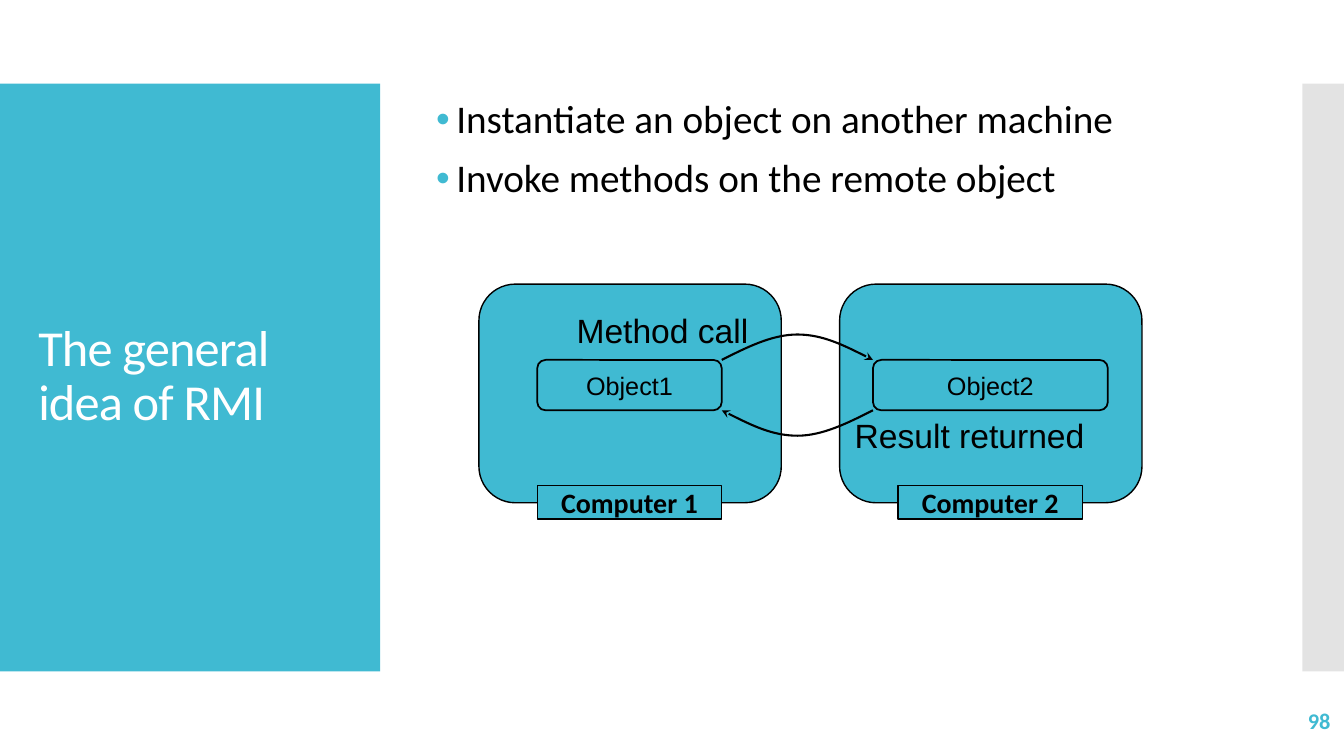
from lxml import etree
from pptx import Presentation
from pptx.dml.color import RGBColor
from pptx.enum.shapes import MSO_SHAPE
from pptx.enum.text import MSO_ANCHOR, MSO_AUTO_SIZE, PP_ALIGN
from pptx.oxml.ns import qn
from pptx.util import Cm, Pt

RECT, ROUND = MSO_SHAPE.RECTANGLE, MSO_SHAPE.ROUNDED_RECTANGLE
MIDDLE, TOP = MSO_ANCHOR.MIDDLE, MSO_ANCHOR.TOP
LEFT, CENTER, RIGHT = PP_ALIGN.LEFT, PP_ALIGN.CENTER, PP_ALIGN.RIGHT
COLORS = {"teal": "40BAD2", "gray": "C8C8C8", "black": "000000", "white": "FFFFFF"}
FONTS = {
    "title": {"name": "Calibri", "size": Pt(36), "bold": False},
    "point": {"name": "Calibri", "size": Pt(28)},
    "page": {"name": "Calibri", "size": Pt(16), "bold": True},
    "label": {"name": "Calibri", "size": Pt(20), "bold": True},
    "note": {"name": "Arial", "size": Pt(24)},
    "object": {"name": "Arial", "size": Pt(18)},
}


def color(name):
    return RGBColor.from_string(COLORS[name])


def style(para, font, ink):
    for key, value in FONTS[font].items():
        setattr(para.font, key, value)
    para.font.color.rgb = color(ink)


def write(shape, text, font, ink="black", align=LEFT, anchor=TOP, wrap=True):
    frame = shape.text_frame
    frame.text = text
    form = {"word_wrap": wrap, "vertical_anchor": anchor, "auto_size": MSO_AUTO_SIZE.NONE}
    for key, value in form.items():
        setattr(frame, key, value)
    for para in frame.paragraphs:
        para.alignment = align
        style(para, font, ink)
    return frame


def block(shapes, kind, box, fill=None, line=None):
    shape = shapes.add_shape(kind, *map(Cm, box))
    shape.shadow.inherit = False
    if fill:
        shape.fill.solid()
        shape.fill.fore_color.rgb = color(fill)
    else:
        shape.fill.background()
    if line:
        shape.line.color.rgb = color("black")
        shape.line.width = Pt(line)
    else:
        shape.line.fill.background()
    return shape


def note(shapes, box, text, font, **form):
    return write(shapes.add_textbox(*map(Cm, box)), text, font, **form)


def side(slide, box):
    x, y, w, h = box
    block(slide.shapes, RECT, box, "teal")
    title = slide.shapes.title
    slide.shapes._spTree.append(title._element)
    place = {"left": x + 0.71, "top": y + 1.01, "width": w - 1.4, "height": h - 2.03}
    for key, value in place.items():
        setattr(title, key, Cm(value))
    frame = write(title, "The general idea of RMI", "title", "white", anchor=MIDDLE)
    para = frame.paragraphs[0]
    para.line_spacing = 0.9
    para.runs[0].font._element.set("spc", "-60")


def edge(slide, box):
    bar = block(slide.shapes, RECT, box, "gray")
    tint = bar._element.spPr.find(".//" + qn("a:srgbClr"))
    etree.SubElement(tint, qn("a:alpha"), val="50000")


def points(slide, box, lines):
    frame = slide.shapes.add_textbox(*map(Cm, box)).text_frame
    frame.word_wrap = True
    for i, text in enumerate(lines):
        para = frame.add_paragraph() if i else frame.paragraphs[0]
        para.text = text
        props = para._p.get_or_add_pPr()
        props.set("marL", str(Cm(0.51)))
        props.set("indent", str(-Cm(0.51)))
        tint = etree.SubElement(props, qn("a:buClr"))
        etree.SubElement(tint, qn("a:srgbClr"), val=COLORS["teal"])
        etree.SubElement(props, qn("a:buFont"), typeface="Arial")
        etree.SubElement(props, qn("a:buChar"), char="•")
        para.line_spacing = 0.9
        para.space_before = Pt(12 if i else 0)
        style(para, "point", "black")


def arc(shapes, x, y, run, rise):
    steps = [(1, 0.5), (2, 1), (3, 1), (4, 1), (5, 0.5), (6, 0)]
    spots = [(Cm(x + run * i / 6), Cm(y + rise * k)) for i, k in steps]
    pen = shapes.build_freeform(Cm(x), Cm(y))
    pen.add_line_segments(spots, close=False)
    curve = pen.convert_to_shape()
    curve.shadow.inherit = False
    curve.fill.background()
    curve.line.color.rgb = color("black")
    curve.line.width = Pt(1.5)
    props = curve._element.spPr
    etree.SubElement(props.find(qn("a:ln")), qn("a:tailEnd"), type="stealth")
    trace = props.find(".//" + qn("a:path"))
    legs = trace.findall(qn("a:lnTo"))
    for start in (0, 3):
        bend = etree.SubElement(trace, qn("a:cubicBezTo"))
        for leg in legs[start:start + 3]:
            bend.append(leg[0])
            trace.remove(leg)


def diagram(slide, box):
    x, y, w, h = box
    wide, tall = 7.62, 5.51
    gap = w - wide
    group = slide.shapes.add_group_shape().shapes
    for i in range(2):
        block(group, ROUND, (x + i * gap, y, wide, tall), "teal", 1)
    for i in range(2):
        label = block(group, RECT, (x + 1.47 + i * gap, y + h - 0.84, 4.65, 0.84), "teal", 1)
        write(label, f"Computer {i + 1}", "label", align=CENTER, anchor=MIDDLE, wrap=False)
    arc(slide.shapes, x + 6.12, y + 1.91, 3.81, -0.64)
    arc(slide.shapes, x + 9.93, y + 3.18, -3.81, 0.64)
    note(slide.shapes, (x + 2.21, y + 0.53, 5.23, 1.27), "Method call", "note")
    note(slide.shapes, (x + 9.22, y + 3.18, 6.65, 1.27), "Result returned", "note")
    for text, left, width in (("Object1", 1.47, 4.65), ("Object2", 9.93, 5.92)):
        part = block(slide.shapes, ROUND, (x + left, y + 1.91, width, 1.27), line=1.25)
        write(part, text, "object", align=CENTER, anchor=MIDDLE, wrap=False)


def main():
    deck = Presentation()
    deck.slide_width, deck.slide_height = Cm(33.87), Cm(19.05)
    slide = deck.slides.add_slide(deck.slide_layouts[5])
    side(slide, (0, 2.11, 9.58, 14.81))
    edge(slide, (32.82, 2.11, 1.05, 14.81))
    points(slide, (10.74, 2.39, 20.32, 14.22), [
        "Instantiate an object on another machine",
        "Invoke methods on the remote object",
    ])
    note(slide.shapes, (29.54, 17.65, 4.24, 1.02), "98", "page",
         ink="teal", align=RIGHT, anchor=MIDDLE)
    diagram(slide, (12.07, 7.16, 16.71, 5.92))
    deck.save("out.pptx")


if __name__ == "__main__":
    main()
